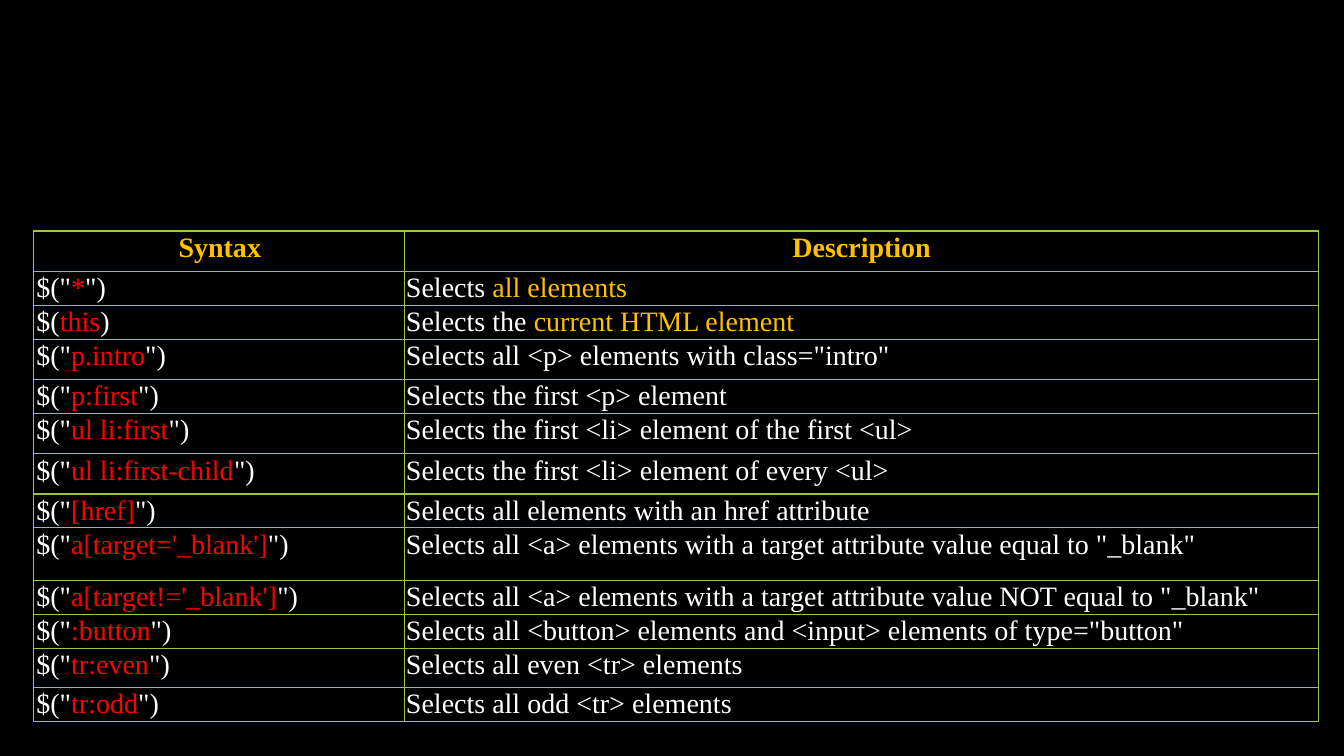
import pptx
import pptx.dml.color
import pptx.enum.text
import pptx.oxml.ns
import pptx.util
from lxml import etree

Pt = pptx.util.Pt
WHITE, RED, GOLD, GREEN, BLACK = "FFFFFF", "FF0000", "FFC000", "9EC544", "000000"

# Row height, syntax and description; "|" marks the start and end of a highlight
SELECTORS = [
    (20, '$("|*|")', "Selects |all elements"),
    (20, "$(|this|)", "Selects the |current HTML element"),
    (28.8, '$("|p.intro|")', 'Selects all <p> elements with class="intro"'),
    (20, '$("|p:first|")', "Selects the first <p> element"),
    (28.8, '$("|ul li:first|")', "Selects the first <li> element of the first <ul>"),
    (28.8, '$("|ul li:first-child|")', "Selects the first <li> element of every <ul>"),
    (20, '$("|[href]|")', "Selects all elements with an href attribute"),
    (37.6, "$(\"|a[target='_blank']|\")",
     'Selects all <a> elements with a target attribute value equal to "_blank"'),
    (20, "$(\"|a[target!='_blank']|\")",
     'Selects all <a> elements with a target attribute value NOT equal to "_blank"'),
    (24, '$("|:button|")',
     'Selects all <button> elements and <input> elements of type="button"'),
    (28, '$("|tr:even|")', "Selects all even <tr> elements"),
    (20, '$("|tr:odd|")', "Selects all odd <tr> elements"),
]


def rgb(color):
    return pptx.dml.color.RGBColor.from_string(color)


class Deck:
    font = "Times New Roman"
    size = 20

    def __init__(self, width, height):
        self.prs = pptx.Presentation()
        self.prs.slide_width, self.prs.slide_height = Pt(width), Pt(height)

    def slide(self, color):
        self.s = self.prs.slides.add_slide(self.prs.slide_layouts[6])
        self.s.background.fill.solid()
        self.s.background.fill.fore_color.rgb = rgb(color)

    def table(self, left, top, height, widths, heights):
        frame = self.s.shapes.add_table(len(heights), len(widths), Pt(left), Pt(top),
                                        Pt(sum(widths)), Pt(height))
        table = frame.table
        for column, width in zip(table.columns, widths):
            column.width = Pt(width)
        for row, row_height in zip(table.rows, heights):
            row.height = Pt(row_height)
        frame.height = Pt(height)
        return table

    def borders(self, cell, color, width):
        tcPr = cell._tc.get_or_add_tcPr()
        qn = pptx.oxml.ns.qn
        for i, side in enumerate(("a:lnL", "a:lnR", "a:lnT", "a:lnB")):
            ln = etree.Element(qn(side), w=str(Pt(width)))
            fill = etree.SubElement(ln, qn("a:solidFill"))
            etree.SubElement(fill, qn("a:srgbClr"), val=color)
            tcPr.insert(i, ln)

    def cell(self, cell, text, colors, left, header=False):
        cell.fill.background()
        self.borders(cell, GREEN, 1)
        cell.margin_left = Pt(left)
        cell.margin_top = cell.margin_right = cell.margin_bottom = Pt(1)
        p = cell.text_frame.paragraphs[0]
        align = pptx.enum.text.PP_ALIGN
        p.alignment = align.CENTER if header else align.LEFT
        for i, part in enumerate(text.split("|")):
            r = p.add_run()
            r.text = part
            r.font.name, r.font.size, r.font.bold = self.font, Pt(self.size), header
            r.font.color.rgb = rgb(colors[i % 2])


def main():
    deck = Deck(960, 540)
    deck.slide(BLACK)

    # Selector table
    rows = [(28.8, "Syntax", "Description")] + SELECTORS
    table = deck.table(24, 165, 363, (265, 653), [row[0] for row in rows])
    for i, (_, syntax, description) in enumerate(rows):
        header = i == 0
        base = GOLD if header else WHITE
        deck.cell(table.cell(i, 0), syntax, (base, RED), 2, header)
        deck.cell(table.cell(i, 1), description, (base, GOLD), 1, header)

    deck.prs.save("out.pptx")


if __name__ == "__main__":
    main()
